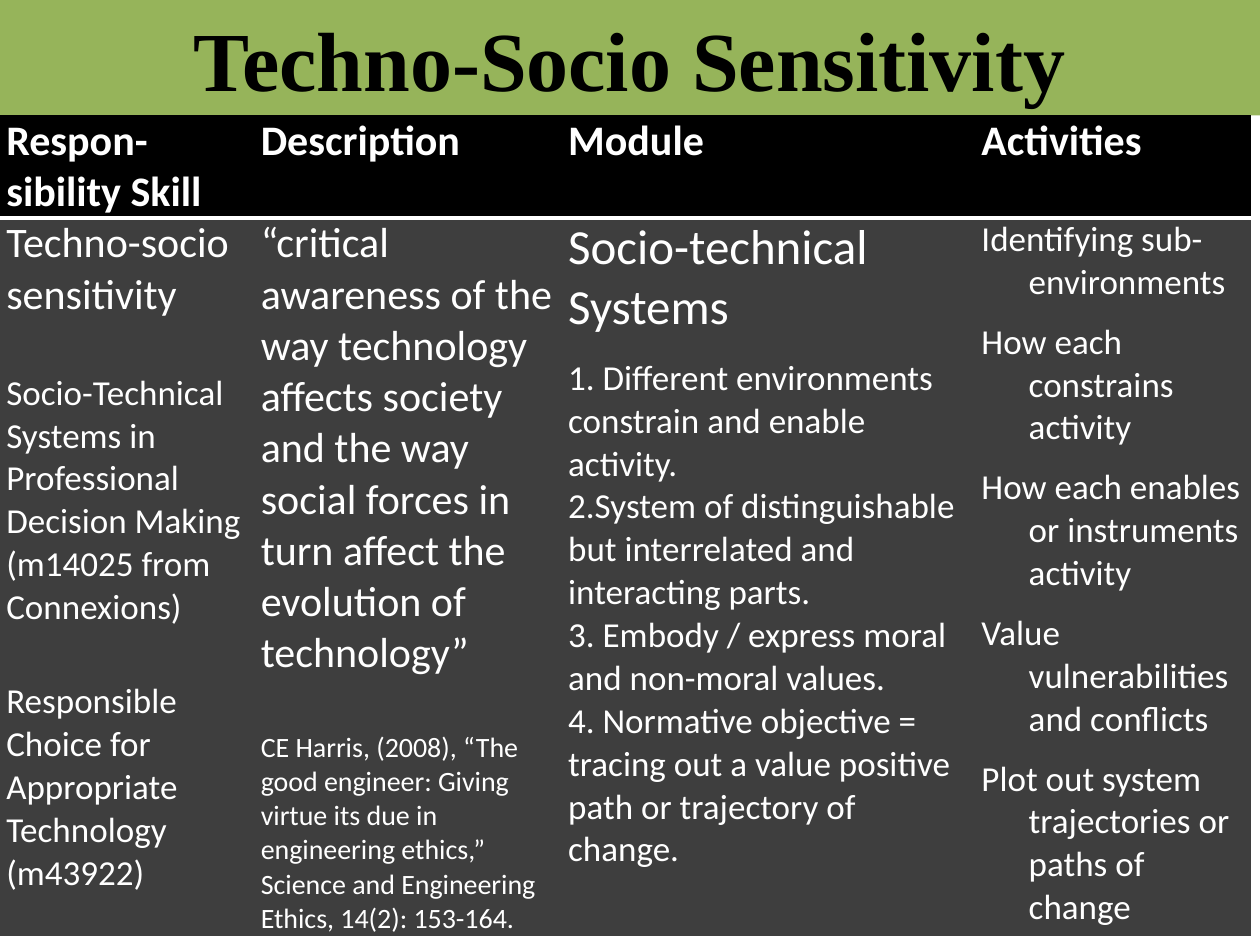
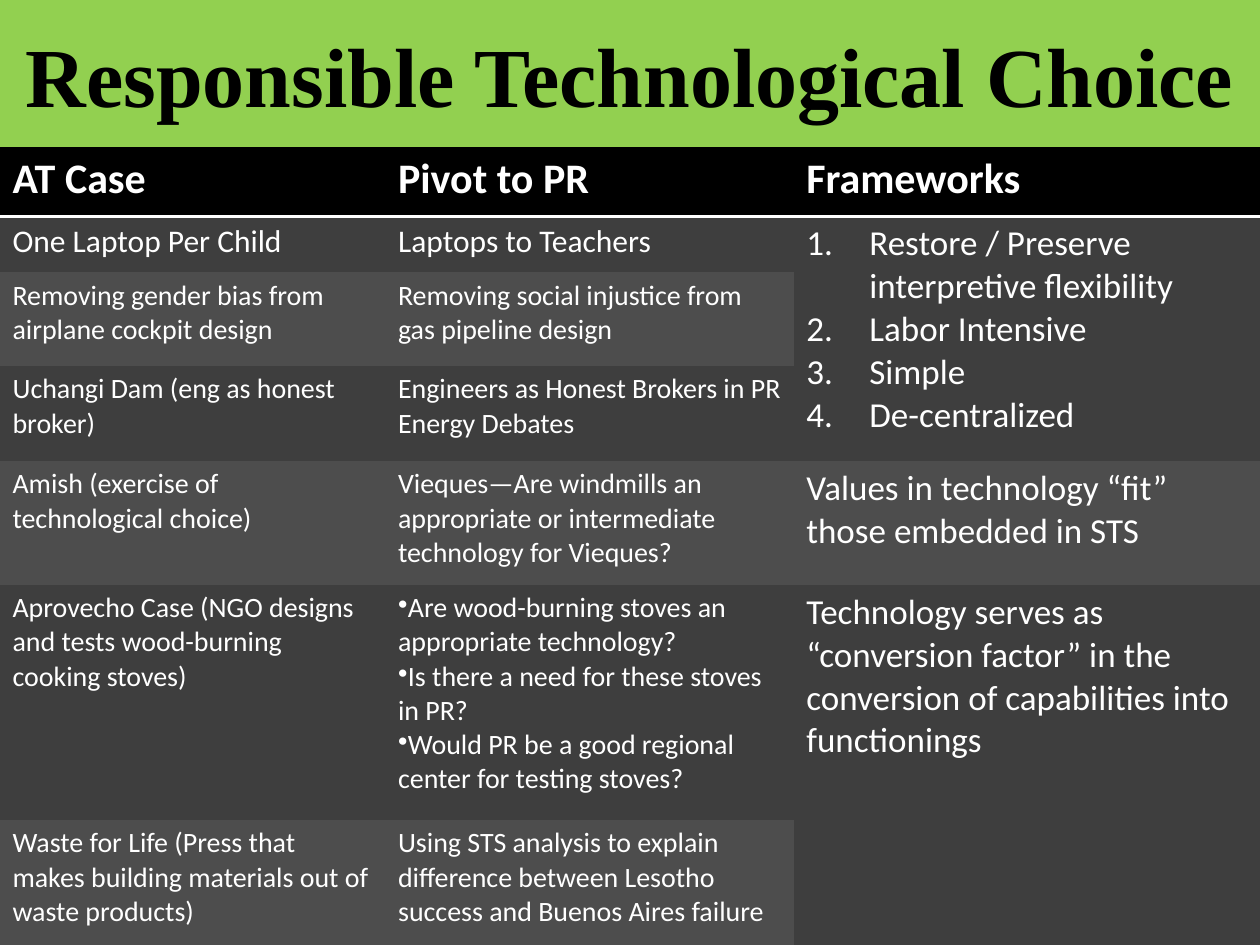
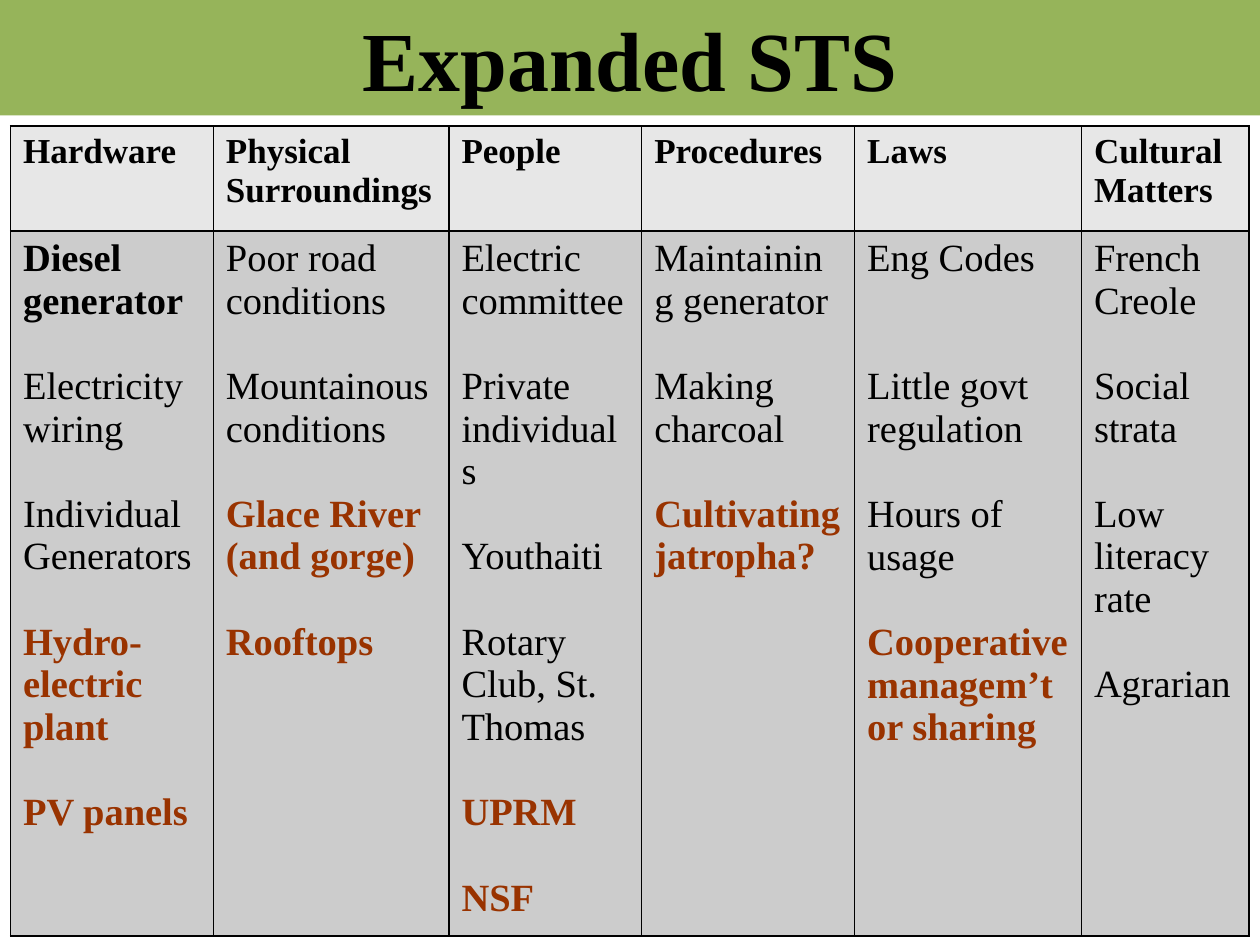
from dataclasses import dataclass

from lxml.etree import SubElement
from pptx import Presentation
from pptx.dml.color import RGBColor
from pptx.enum.shapes import MSO_SHAPE
from pptx.enum.text import MSO_ANCHOR, PP_ALIGN
from pptx.oxml import parse_xml
from pptx.oxml.ns import nsdecls, qn
from pptx.util import Pt


@dataclass(frozen=True)
class Theme:
    olive: str = "96B45A"
    lime: str = "92D050"
    black: str = "000000"
    white: str = "FFFFFF"
    dark: str = "3E3E3E"
    dark_band: str = "4D4D4D"
    pale: str = "E7E7E7"
    grey: str = "CCCCCC"
    rust: str = "993300"
    serif: str = "Times New Roman"
    sans: str = "Calibri"
    title: int = 48
    lead: int = 28
    head: int = 24
    chart_body: int = 22
    body: int = 20
    row: int = 18
    small: int = 16


THEME = Theme()
NO_STYLE = "{2D5ABB26-0587-4C30-8999-92F81FD0307C}"
SLIDE_WIDTH, SLIDE_HEIGHT = 720, 540


@dataclass(frozen=True)
class Line:
    """One paragraph: gap is the space before it, hang its hanging indent."""
    text: str
    size: int = THEME.body
    gap: float = 0
    bold: bool = False
    color: str = ""
    hang: float = 0
    bullet: str = ""


@dataclass(frozen=True)
class TableLook:
    font: str
    color: str
    head_size: int
    head_fill: str
    body_fills: tuple
    margins: tuple = (7.2, 3.6)
    head_rule: tuple = ()
    grid: tuple = ()


SKILL_GAP, MODULE_GAP, ACTIVITY_GAP, STS_GAP = 29.3, 11, 9.75, 24.4


def spaced(texts, gap, **options):
    return [Line(text, gap=gap if i else 0, **options) for i, text in enumerate(texts)]


def listed(texts, bullet, **options):
    return [Line(text, bullet=bullet, **options) for text in texts]


def sts(present, added=(), **options):
    """Present parts of the system, then added ones in the accent colour."""
    lines = spaced(present, STS_GAP, size=THEME.chart_body)
    return lines + [Line(text, THEME.chart_body, STS_GAP, True, THEME.rust) for text in added]


SENSITIVITY_HEADS = ["Respon-sibility Skill", "Description", "Module", "Activities"]
SENSITIVITY_ROWS = [[
    [Line("Techno-socio sensitivity", THEME.head),
     Line("Socio-Technical Systems in Professional Decision Making", gap=SKILL_GAP),
     Line("(m14025 from Connexions)"),
     Line("Responsible Choice for Appropriate Technology (m43922)", gap=SKILL_GAP)],
    [Line("“critical awareness of the way technology affects society and the way "
          "social forces in turn affect the evolution of technology”", THEME.head),
     Line("CE Harris, (2008), “The good engineer: Giving virtue its due in engineering "
          "ethics,” Science and Engineering Ethics, 14(2): 153-164.",
          THEME.small, SKILL_GAP)],
    [Line("Socio-technical Systems", THEME.lead),
     Line("1. Different environments constrain and enable activity.", gap=MODULE_GAP),
     Line("2.System of distinguishable but interrelated and interacting parts."),
     Line("3. Embody / express moral and non-moral values."),
     Line("4. Normative objective = tracing out a value positive path or "
          "trajectory of change.")],
    spaced(["Identifying sub-environments", "How each constrains activity",
            "How each enables or instruments activity",
            "Value vulnerabilities and conflicts",
            "Plot out system trajectories or paths of change"], ACTIVITY_GAP, hang=27),
]]

CHOICE_HEADS = ["AT Case", "Pivot to PR", "Frameworks"]
CASES = [
    ("One Laptop Per Child", "Laptops to Teachers"),
    ("Removing gender bias from airplane cockpit design",
     "Removing social injustice from gas pipeline design"),
    ("Uchangi Dam (eng as honest broker)",
     "Engineers as Honest Brokers in PR Energy Debates"),
    ("Amish (exercise of technological choice)",
     "Vieques—Are windmills an appropriate or intermediate technology for Vieques?"),
    ("Aprovecho Case (NGO designs and tests wood-burning cooking stoves)",
     ["Are wood-burning stoves an appropriate technology?",
      "Is there a need for these stoves in PR?",
      "Would PR be a good regional center for testing stoves?"]),
    ("Waste for Life (Press that makes building materials out of waste products)",
     "Using STS analysis to explain difference between Lesotho success and "
     "Buenos Aires failure"),
]
# First case row of each framework
FRAMEWORKS = {
    0: listed(["Restore / Preserve interpretive flexibility", "Labor Intensive",
               "Simple", "De-centralized"], "1.", hang=36),
    3: [Line("Values in technology “fit” those embedded in STS")],
    4: [Line("Technology serves as “conversion factor” in the conversion of "
             "capabilities into functionings")],
}
FRAMEWORK_SPANS = [(1, 3), (5, 6)]

STS_HEADS = ["Hardware", "Physical Surroundings", "People", "Procedures", "Laws",
             "Cultural Matters"]
LAWS = sts(["Eng Codes", "Little govt regulation", "Hours of usage"],
           ["Cooperative managem’t or sharing"])
LAWS[1] = Line(LAWS[1].text, THEME.chart_body, 2 * STS_GAP)
HARDWARE = sts(["Diesel generator", "Electricity wiring", "Individual Generators"],
               ["Hydro-electric plant", "PV panels"])
HARDWARE[0] = Line(HARDWARE[0].text, THEME.chart_body, bold=True)
STS_ROWS = [[
    HARDWARE,
    sts(["Poor road conditions", "Mountainous conditions"],
        ["Glace River (and gorge)", "Rooftops"]),
    sts(["Electric committee", "Private individuals", "Youthaiti",
         "Rotary Club, St. Thomas"], ["UPRM", "NSF"]),
    sts(["Maintaining generator", "Making charcoal"], ["Cultivating jatropha?"]),
    LAWS,
    sts(["French Creole", "Social strata", "Low literacy rate", "Agrarian"]),
]]

DARK_LOOK = TableLook(THEME.sans, THEME.white, THEME.head, THEME.black,
                      (THEME.dark, THEME.dark_band), head_rule=(THEME.white, 2))
TIGHT_LOOK = TableLook(THEME.sans, THEME.white, THEME.head, THEME.black,
                       (THEME.dark,), (3.6, 0), (THEME.white, 2))
GRID_LOOK = TableLook(THEME.serif, THEME.black, THEME.body, THEME.pale,
                      (THEME.grey,), grid=(THEME.black, 1))


def choice_rows():
    rows = []
    for i, (case, pivot) in enumerate(CASES):
        size = THEME.small if i else THEME.row
        pivots = ([Line(pivot, size)] if isinstance(pivot, str)
                  else listed(pivot, "•", size=size))
        rows.append([[Line(case, size)], pivots, FRAMEWORKS.get(i, [])])
    return rows


def add_title_band(slide, title, height, fill):
    band = slide.shapes.add_shape(MSO_SHAPE.RECTANGLE, 0, 0, Pt(SLIDE_WIDTH), Pt(height))
    band.shadow.inherit = False
    band.fill.solid()
    band.fill.fore_color.rgb = RGBColor.from_string(fill)
    band.line.fill.background()
    frame = band.text_frame
    frame.word_wrap = True
    frame.vertical_anchor = MSO_ANCHOR.MIDDLE
    paragraph = frame.paragraphs[0]
    paragraph.text = title
    paragraph.alignment = PP_ALIGN.CENTER
    set_font(paragraph, THEME.serif, THEME.title, THEME.black, True)


def set_font(paragraph, name, size, color, bold):
    font = paragraph.font
    font.name, font.size, font.bold = name, Pt(size), bold
    font.color.rgb = RGBColor.from_string(color)


def write_lines(frame, lines, look):
    for i, line in enumerate(lines):
        paragraph = frame.add_paragraph() if i else frame.paragraphs[0]
        paragraph.text = line.text
        if line.gap:
            paragraph.space_before = Pt(line.gap)
        properties = paragraph._p.get_or_add_pPr()
        if line.hang:
            properties.set("marL", str(Pt(line.hang)))
            properties.set("indent", str(-Pt(line.hang)))
        if line.bullet == "1.":
            SubElement(properties, qn("a:buAutoNum"), type="arabicPeriod")
        elif line.bullet:
            SubElement(properties, qn("a:buChar"), char=line.bullet)
        set_font(paragraph, look.font, line.size, line.color or look.color, line.bold)


def set_borders(cell, sides, color, width):
    properties = cell._tc.get_or_add_tcPr()
    for i, side in enumerate(sides):
        properties.insert(i, parse_xml(
            f'<a:ln{side} {nsdecls("a")} w="{Pt(width)}"><a:solidFill>'
            f'<a:srgbClr val="{color}"/></a:solidFill></a:ln{side}>'))


def add_matrix(slide, left, top, widths, heights, heads, rows, look, spans=()):
    """Table with a head row; spans are (first, last) rows merged in the last column."""
    table = slide.shapes.add_table(len(heights), len(widths), Pt(left), Pt(top),
                                   Pt(sum(widths)), Pt(sum(heights))).table
    table._tbl.tblPr.find(qn("a:tableStyleId")).text = NO_STYLE
    table.horz_banding = False
    for column, width in zip(table.columns, widths):
        column.width = Pt(width)
    for row, height in zip(table.rows, heights):
        row.height = Pt(height)
    head_row = [[Line(head, look.head_size, bold=True)] for head in heads]
    for r, row in enumerate([head_row, *rows]):
        fill = look.body_fills[(r - 1) % len(look.body_fills)] if r else look.head_fill
        for c, lines in enumerate(row):
            cell = table.cell(r, c)
            cell.margin_left = cell.margin_right = Pt(look.margins[0])
            cell.margin_top = cell.margin_bottom = Pt(look.margins[1])
            cell.fill.solid()
            cell.fill.fore_color.rgb = RGBColor.from_string(fill)
            write_lines(cell.text_frame, lines, look)
            if look.grid:
                set_borders(cell, "LRTB", *look.grid)
            elif r == 0:
                set_borders(cell, "B", *look.head_rule)
    last = len(widths) - 1
    for first_row, last_row in spans:
        table.cell(first_row, last).merge(table.cell(last_row, last))


SLIDES = [
    dict(title="Techno-Socio Sensitivity", band=(66, THEME.olive),
         matrix=dict(left=0, top=66, widths=(145.44, 175.68, 236.16, 157.68),
                     heights=(58.5, 410.5), heads=SENSITIVITY_HEADS,
                     rows=SENSITIVITY_ROWS, look=TIGHT_LOOK)),
    dict(title="Responsible Technological Choice", band=(84, THEME.lime),
         matrix=dict(left=0, top=84, widths=(220.3, 233.3, 266.4),
                     heights=(39.5, 32, 53.6, 54.3, 70.8, 134.4, 71.4),
                     heads=CHOICE_HEADS, rows=choice_rows(), look=DARK_LOOK,
                     spans=FRAMEWORK_SPANS)),
    dict(title="Expanded STS", band=(66, THEME.olive),
         matrix=dict(left=6, top=72, widths=(115.92, 134.64, 110.16, 121.68, 129.6, 95.76),
                     heights=(60, 403), heads=STS_HEADS, rows=STS_ROWS, look=GRID_LOOK)),
]


def main():
    deck = Presentation()
    deck.slide_width, deck.slide_height = Pt(SLIDE_WIDTH), Pt(SLIDE_HEIGHT)
    for content in SLIDES:
        slide = deck.slides.add_slide(deck.slide_layouts[6])
        add_title_band(slide, content["title"], *content["band"])
        add_matrix(slide, **content["matrix"])
    deck.save("out.pptx")


if __name__ == "__main__":
    main()
